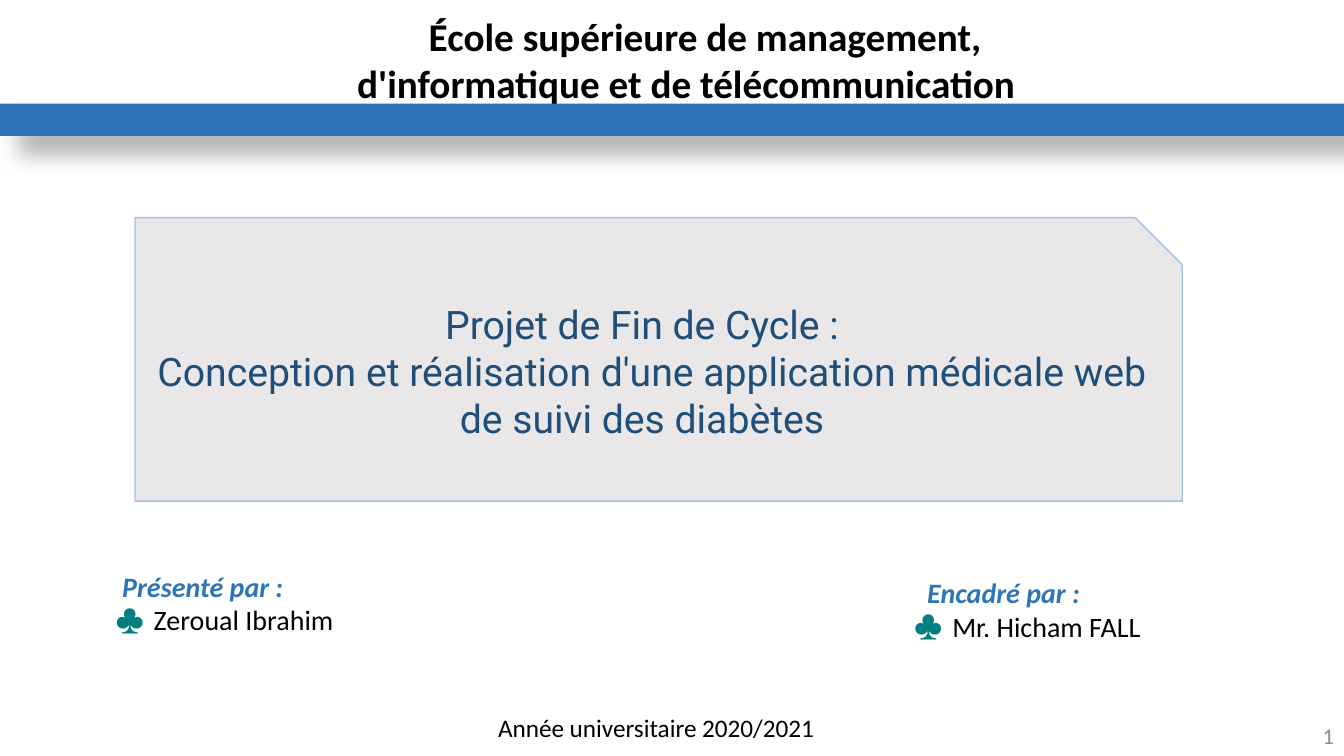
from dataclasses import dataclass

from lxml import etree
from pptx import Presentation
from pptx.dml.color import RGBColor
from pptx.enum import shapes, text
from pptx.oxml import ns
from pptx.util import Pt


@dataclass(frozen=True)
class Theme:
    """Colours, fonts and type sizes of the slide."""
    black: str = "000000"
    blue: str = "2E75B6"
    navy: str = "1F4E79"
    sky: str = "9DC3E6"
    panel: str = "E9E7E7"
    club: str = "008080"
    grey: str = "8C8C8C"
    body_font: str = "Calibri"
    topic_font: str = "Roboto"
    title_size: int = 28
    list_size: int = 20
    year_size: int = 18
    number_size: int = 16


THEME = Theme()
LEFT, CENTER, RIGHT = text.PP_ALIGN.LEFT, text.PP_ALIGN.CENTER, text.PP_ALIGN.RIGHT
TOP, MIDDLE = text.MSO_ANCHOR.TOP, text.MSO_ANCHOR.MIDDLE


def place(shape, left, top, width, height):
    """Move and size a shape, in points."""
    shape.left, shape.top = Pt(left), Pt(top)
    shape.width, shape.height = Pt(width), Pt(height)


def add_xml(parent, tag, **attributes):
    """Append a DrawingML element and return it."""
    return etree.SubElement(parent, ns.qn(tag), attributes)


def format_paragraph(paragraph, size, color, font=THEME.body_font, align=LEFT,
                     bold=False, italic=False):
    """Align a paragraph and style its runs."""
    paragraph.alignment = align
    paragraph.space_before = Pt(0)
    for run in paragraph.runs:
        run.font.name, run.font.size = font, Pt(size)
        run.font.bold, run.font.italic = bold, italic
        run.font.color.rgb = RGBColor.from_string(color)


def set_indent(paragraph, margin, first_line):
    """Set the left margin and first-line indent, in points."""
    properties = paragraph._p.get_or_add_pPr()
    properties.set("marL", str(Pt(margin)))
    properties.set("indent", str(Pt(first_line)))
    return properties


def write(shape, lines, anchor=TOP, **style):
    """Fill a shape with equally formatted paragraphs."""
    frame = shape.text_frame
    frame.text = "\n".join(lines)
    frame.word_wrap = True
    frame.auto_size = text.MSO_AUTO_SIZE.NONE
    frame.vertical_anchor = anchor
    for paragraph in frame.paragraphs:
        format_paragraph(paragraph, **style)


def add_shape(slide, kind, box, fill, line=None):
    """Add a filled preset shape with an optional outline."""
    shape = slide.shapes.add_shape(kind, *map(Pt, box))
    shape.shadow.inherit = False
    shape.fill.solid()
    shape.fill.fore_color.rgb = RGBColor.from_string(fill)
    if line:
        shape.line.color.rgb = RGBColor.from_string(line)
        shape.line.width = Pt(1)
    else:
        shape.line.fill.background()
    return shape


def add_shadow(shape):
    """Give a shape a soft shadow down and to the right."""
    effects = shape._element.spPr.find(ns.qn("a:effectLst"))
    shadow = add_xml(effects, "a:outerShdw", blurRad=str(Pt(15)), dist=str(Pt(18)),
                     dir="2700000", algn="tl", rotWithShape="0")
    color = add_xml(shadow, "a:srgbClr", val=THEME.black)
    add_xml(color, "a:alpha", val="30000")


def add_label(slide, box, label, **style):
    """Add a text box with one line."""
    write(slide.shapes.add_textbox(*map(Pt, box)), [label], **style)


def fill_people(placeholder, box, heading, name, heading_margin):
    """Write a heading and a name with a club bullet."""
    place(placeholder, *box)
    write(placeholder, [heading, name], size=THEME.list_size, color=THEME.black)
    title, person = placeholder.text_frame.paragraphs
    format_paragraph(title, THEME.list_size, THEME.blue, bold=True, italic=True)
    add_xml(set_indent(title, heading_margin, 0), "a:buNone")
    properties = set_indent(person, 27, -27)
    add_xml(add_xml(properties, "a:buClr"), "a:srgbClr", val=THEME.club)
    add_xml(properties, "a:buFont", typeface=THEME.body_font)
    add_xml(properties, "a:buChar", char="♣")


def main():
    """Build and save the title slide."""
    presentation = Presentation()
    presentation.slide_width, presentation.slide_height = Pt(960), Pt(540)
    slide = presentation.slides.add_slide(presentation.slide_layouts[3])
    title, authors, supervisors = slide.placeholders

    place(title, 205, 5, 570, 75)
    write(title, ["École supérieure de management, d'informatique et de télécommunication"],
          size=THEME.title_size, color=THEME.black, align=CENTER, bold=True)
    set_indent(title.text_frame.paragraphs[0], 0, 27)

    fill_people(authors, (75.6, 403, 171, 80), "Présenté par :", "Zeroual Ibrahim", 4.5)
    fill_people(supervisors, (646, 407.5, 236, 55), "Encadré par :", "Mr. Hicham FALL", 9)

    add_shadow(add_shape(slide, shapes.MSO_SHAPE.RECTANGLE, (0, 74, 960, 23), THEME.blue))
    topic = add_shape(slide, shapes.MSO_SHAPE.SNIP_1_RECTANGLE, (96.5, 155.5, 748, 202.5),
                      THEME.panel, THEME.sky)
    write(topic, ["Projet de Fin de Cycle : ",
                  " Conception et réalisation d'une application médicale web de suivi des diabètes "],
          anchor=MIDDLE, size=THEME.title_size, color=THEME.navy,
          font=THEME.topic_font, align=CENTER)

    add_label(slide, (347, 505.5, 243.5, 29), "Année universitaire 2020/2021",
              size=THEME.year_size, color=THEME.black, align=CENTER)
    add_label(slide, (744, 511, 216, 29), "1", anchor=MIDDLE,
              size=THEME.number_size, color=THEME.grey, align=RIGHT)
    presentation.save("out.pptx")


if __name__ == "__main__":
    main()
